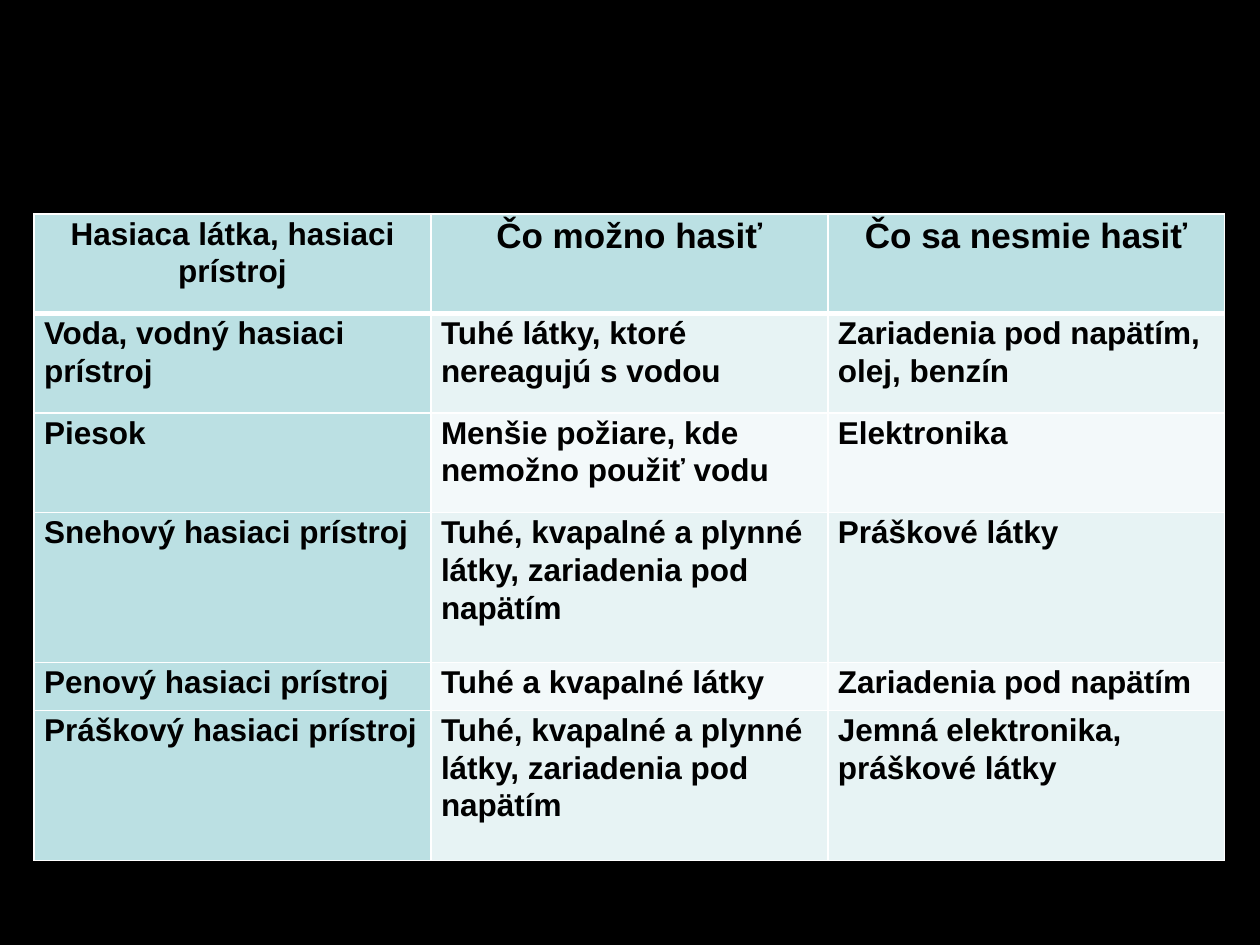
from lxml import etree
from pptx import Presentation
from pptx.dml.color import RGBColor
from pptx.enum.text import PP_ALIGN
from pptx.oxml.ns import qn
from pptx.util import Inches, Pt

CENTER, LEFT = PP_ALIGN.CENTER, PP_ALIGN.LEFT
BLACK = RGBColor(0x00, 0x00, 0x00)
WHITE = RGBColor(0xFF, 0xFF, 0xFF)
TEAL = RGBColor(0xBB, 0xE0, 0xE3)
PALE_TEAL = RGBColor(0xE7, 0xF3, 0xF4)
PALEST_TEAL = RGBColor(0xF3, 0xF9, 0xFA)

COLUMN_WIDTH = 3.15
ROW_HEIGHTS = [0.79, 0.79, 0.79, 1.19, 0.38, 1.19]
HEADINGS = ["Hasiaca látka, hasiaci prístroj", "Čo možno hasiť", "Čo sa nesmie hasiť"]
EXTINGUISHERS = [
    ["Voda, vodný hasiaci prístroj", "Tuhé látky, ktoré nereagujú s vodou",
     "Zariadenia pod napätím, olej, benzín"],
    ["Piesok", "Menšie požiare, kde nemožno použiť vodu", "Elektronika"],
    ["Snehový hasiaci prístroj", "Tuhé, kvapalné a plynné látky, zariadenia pod napätím",
     "Práškové látky"],
    ["Penový hasiaci prístroj", "Tuhé a kvapalné látky", "Zariadenia pod napätím"],
    ["Práškový hasiaci prístroj", "Tuhé, kvapalné a plynné látky, zariadenia pod napätím",
     "Jemná elektronika, práškové látky"],
]


class SlideBuilder:
    """Holds the table style and the slide being built."""

    def __init__(self, deck, font="Arial", size=18):
        self.slide = deck.slides.add_slide(deck.slide_layouts[6])
        self.font, self.size = font, size

    def background(self, color):
        fill = self.slide.background.fill
        fill.solid()
        fill.fore_color.rgb = color

    def borders(self, cell, top, bottom):
        properties = cell._tc.get_or_add_tcPr()
        for side, points in (("L", 1), ("R", 1), ("T", top), ("B", bottom)):
            line = etree.SubElement(properties, qn(f"a:ln{side}"), w=str(Pt(points)))
            solid = etree.SubElement(line, qn("a:solidFill"))
            etree.SubElement(solid, qn("a:srgbClr"), val=str(WHITE))

    def cell(self, cell, text, fill, size, align, top=1, bottom=1):
        self.borders(cell, top, bottom)
        cell.fill.solid()
        cell.fill.fore_color.rgb = fill
        cell.margin_left = cell.margin_right = Inches(0.08)
        cell.margin_top = cell.margin_bottom = 0
        cell.text = text
        paragraph = cell.text_frame.paragraphs[0]
        paragraph.alignment = align
        paragraph.line_spacing = 1.07
        paragraph.space_after = Pt(8)
        font = paragraph.font
        font.name, font.size, font.bold = self.font, Pt(size), True
        font.color.rgb = BLACK

    def table(self, left, top, column_width, row_heights, headings, body):
        count = len(headings)
        table = self.slide.shapes.add_table(
            len(row_heights), count, Inches(left), Inches(top),
            Inches(column_width * count), Inches(sum(row_heights))).table
        table.first_row = table.horz_banding = False
        for column in table.columns:
            column.width = Inches(column_width)
        for row, height in zip(table.rows, row_heights):
            row.height = Inches(height)
        for c, heading in enumerate(headings):
            size = self.size if c == 0 else self.size + 2
            self.cell(table.cell(0, c), heading, TEAL, size, CENTER, bottom=3)
        for r, entries in enumerate(body, start=1):
            band = PALE_TEAL if r % 2 else PALEST_TEAL
            for c, entry in enumerate(entries):
                self.cell(table.cell(r, c), entry, band if c else TEAL, self.size, LEFT,
                          top=3 if r == 1 else 1)


def main():
    deck = Presentation()
    deck.slide_width, deck.slide_height = Inches(10), Inches(7.5)
    builder = SlideBuilder(deck)
    builder.background(BLACK)
    builder.table(0.27, 1.7, COLUMN_WIDTH, ROW_HEIGHTS, HEADINGS, EXTINGUISHERS)
    deck.save("out.pptx")


if __name__ == "__main__":
    main()
